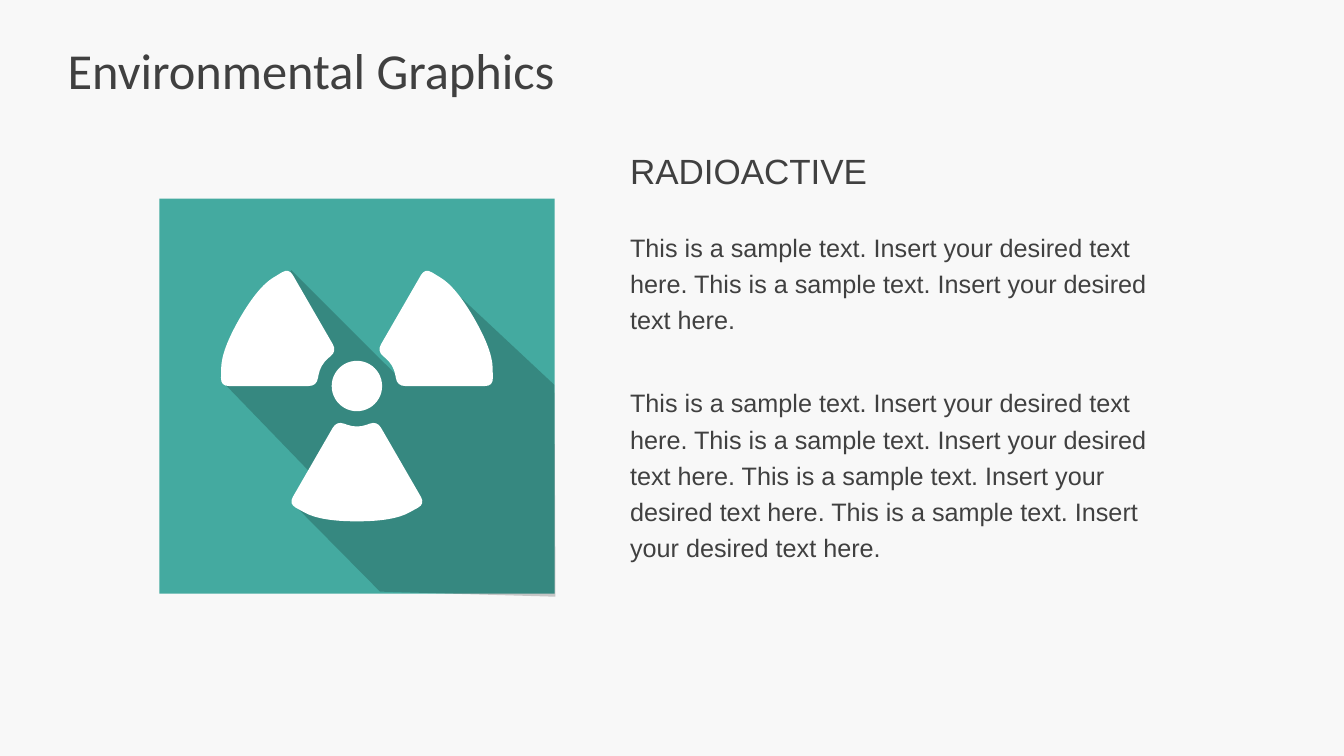
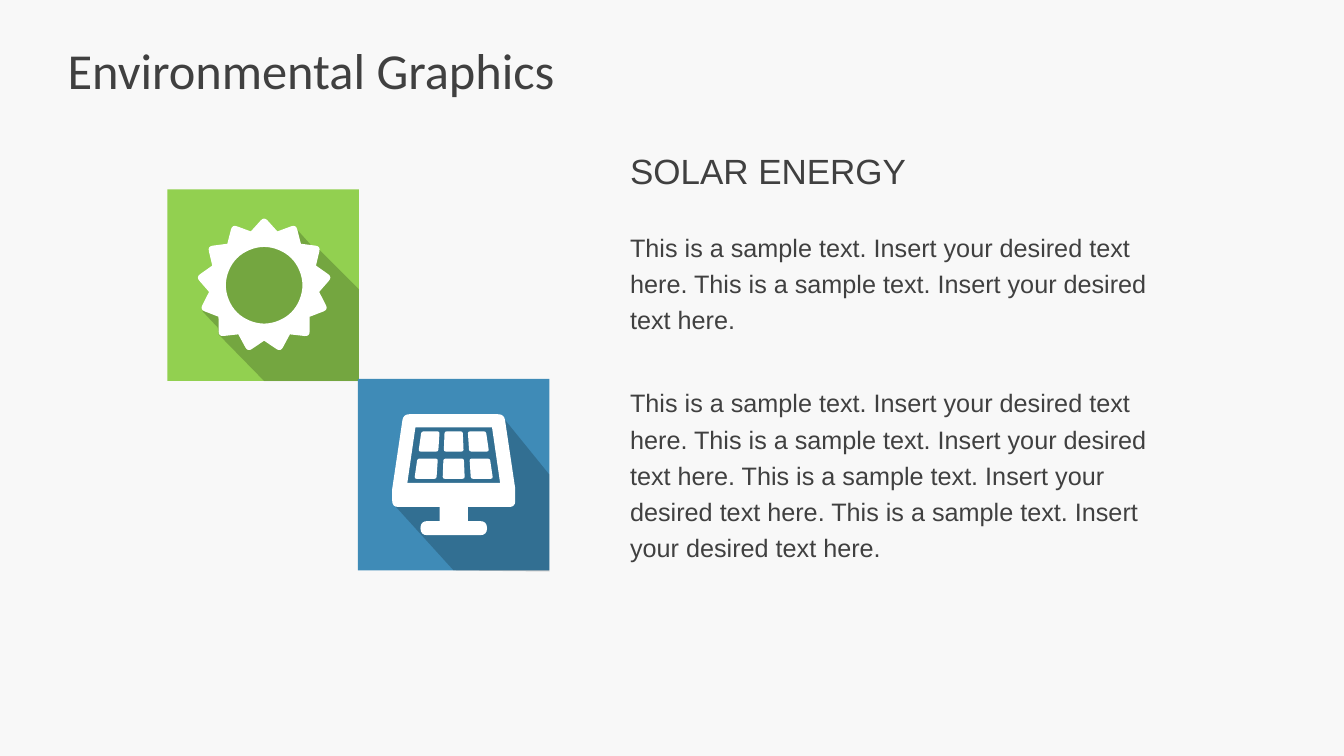
from itertools import product
from math import cos, dist, radians, sin

from lxml.etree import SubElement
from pptx import Presentation
from pptx.dml.color import RGBColor
from pptx.enum.shapes import MSO_SHAPE
from pptx.enum.text import MSO_ANCHOR
from pptx.oxml.ns import qn
from pptx.util import Inches, Pt

PAPER, INK, WHITE, BLACK = "F8F8F8", "404040", "FFFFFF", "000000"
TEAL, GREEN, BLUE = "44AAA0", "92D050", "3F8BB7"
SAMPLE = "This is a sample text. Insert your desired text here."


def paint(fill, color):
    fill.solid()
    fill.fore_color.rgb = RGBColor.from_string(color)


def finish(shape, color):
    paint(shape.fill, color)
    shape.line.fill.background()
    shape.shadow.inherit = False


def write(slide, box, lines, size, font="Arial", gap=0, lead=1.0, anchor=MSO_ANCHOR.TOP):
    """Each line is a paragraph; gap is the space between paragraphs."""
    frame = slide.shapes.add_textbox(*map(Inches, box)).text_frame
    frame.word_wrap = True
    frame.vertical_anchor = anchor
    frame.margin_left = frame.margin_right = 0
    frame.margin_top = frame.margin_bottom = Inches(0.07)
    for i, line in enumerate(lines):
        para = frame.add_paragraph() if i else frame.paragraphs[0]
        para.line_spacing = lead
        para.space_before = Pt(gap if i else 0)
        run = para.add_run()
        run.text = line
        run.font.size, run.font.name = Pt(size), font
        run.font.color.rgb = RGBColor.from_string(INK)


def place(slide, kind, left, top, width, height, color):
    shape = slide.shapes.add_shape(kind, *map(Inches, (left, top, width, height)))
    finish(shape, color)


def polar(mid, r, angle):
    a = radians(angle)
    return mid[0] + r * cos(a), mid[1] + r * sin(a)


def soften(ring):
    """Turn corners (x, y, cut) into knots (point, bend); a bend starts cut away."""
    knots = []
    for i, (x, y, cut) in enumerate(ring):
        if not cut:
            knots.append(((x, y), None))
            continue
        ends = []
        for nx, ny, _ in (ring[i - 1], ring[(i + 1) % len(ring)]):
            part = min(cut / dist((x, y), (nx, ny)), 0.5)
            ends.append((x + (nx - x) * part, y + (ny - y) * part))
        if not knots or dist(knots[-1][0], ends[0]) > 0.001:
            knots.append((ends[0], None))
        knots.append((ends[1], (x, y)))
    return knots


def draw(slide, box, color, *rings):
    """Fill the rings, given in inches from the corner of the box."""
    def spot(point):
        return Inches(box[0] + point[0]), Inches(box[1] + point[1])

    build, bends = None, []
    for ring in rings:
        first, *rest = soften(ring)
        if build is None:
            build = slide.shapes.build_freeform(*spot(first[0]), scale=1.0)
        else:
            build.move_to(*spot(first[0]))
        build.add_line_segments([spot(point) for point, _ in rest], close=True)
        bends += [bend for _, bend in rest]
    shape = build.convert_to_shape()
    finish(shape, color)
    # Bend the softened corners
    for step, bend in zip(list(shape._element.iter(qn("a:lnTo"))), bends):
        if bend:
            x, y = spot(bend)
            step.tag = qn("a:quadBezTo")
            knob = step.makeelement(qn("a:pt"), {"x": str(x - shape.left), "y": str(y - shape.top)})
            step.insert(0, knob)
    return shape


def tile(slide, box, color, shade):
    """Square with a long see-through shadow."""
    left, top, side = box
    place(slide, MSO_SHAPE.RECTANGLE, left, top, side, side, color)
    shape = draw(slide, box, BLACK, [(x, y, 0) for x, y in shade])
    tint = shape.fill._xPr.find(".//" + qn("a:srgbClr"))
    SubElement(tint, qn("a:alpha")).set("val", "20000")


def hazard(slide, box):
    tile(slide, box, TEAL, [
        (1.33, 3.03), (2.19, 3.9), (3.93, 3.95), (3.92, 1.85), (2.84, 0.84),
        (2.37, 1.77), (1.31, 0.71), (0.63, 1.82), (1.5, 2.72)])
    mid = (1.96, 1.86)
    # Three blades, each corner as radius, angle and cut
    blade = [(1.35, 0, 0.08), (1.39, 15, 1), (1.39, 45, 1), (1.35, 60, 0.08),
             (0.4, 60, 0.08), (0.42, 30, 1), (0.4, 0, 0.08)]
    for start in (60, 180, 300):
        draw(slide, box, WHITE, [(*polar(mid, r, start + a), cut) for r, a, cut in blade])
    # Core
    r = 0.25
    place(slide, MSO_SHAPE.OVAL, box[0] + mid[0] - r, box[1] + mid[1] - r, 2 * r, 2 * r, WHITE)


def sun(slide, box):
    tile(slide, box, GREEN, [
        (0.35, 1.21), (0.5, 1.37), (0.51, 1.44), (0.96, 1.9), (1.9, 1.9), (1.9, 0.99),
        (1.5, 0.59), (1.45, 0.58), (1.28, 0.39), (1.01, 0.48), (0.66, 0.54), (0.54, 0.82)])
    mid, teeth = (0.96, 0.95), 13
    rim = []
    for i in range(2 * teeth):
        r, cut = ((0.68, 0.05), (0.55, 0))[i % 2]
        rim.append((*polar(mid, r, 180 * i / teeth - 90), cut))
    hole = [(*polar(mid, 0.41, -45 * i), 1) for i in range(8)]
    draw(slide, box, WHITE, rim, hole)


def panel(slide, box):
    tile(slide, box, BLUE, [
        (0.36, 1.25), (0.95, 1.9), (1.9, 1.91), (1.9, 0.95), (1.43, 0.37),
        (1.27, 0.4), (0.51, 0.43), (0.48, 0.77)])
    axis = 0.95

    def mirror(half):
        right = [(axis + x, y, cut) for x, y, cut in half]
        return right + [(axis - x, y, cut) for x, y, cut in reversed(half)]

    # Frame, stand and foot, with an open window
    body = [(0.5, 0.35, 0.06), (0.61, 1.09, 0), (0.61, 1.27, 0.06), (0.14, 1.27, 0),
            (0.14, 1.41, 0), (0.33, 1.41, 0.07), (0.33, 1.55, 0.07)]
    window = [(0.38, 0.48, 0), (0.46, 1.03, 0)]
    draw(slide, box, WHITE, mirror(body), mirror(window)[::-1])
    # Cells widen toward the bottom
    for top, col in product((0.52, 0.79), (-1, 0, 1)):
        west, east, base = 0.23 * col - 0.09, 0.23 * col + 0.09, top + 0.2
        cell = [(west, top), (east, top), (east, base), (west, base)]
        draw(slide, box, WHITE, [
            (axis + x * (1 + 0.46 * (y - 0.52)), y, 0.02) for x, y in cell])


def page(deck, head, *icons):
    slide = deck.slides.add_slide(deck.slide_layouts[6])
    paint(slide.background.fill, PAPER)
    write(slide, (0.67, 0.3, 12, 0.78), ["Environmental Graphics"], 36, "Calibri",
          anchor=MSO_ANCHOR.MIDDLE)
    write(slide, (6.25, 1.41, 5.54, 0.67), [head], 25)
    write(slide, (6.25, 2.17, 5.54, 4.25), [" ".join([SAMPLE] * n) for n in (2, 4)], 18,
          gap=33.5, lead=1.2)
    for icon, box in icons:
        icon(slide, box)


deck = Presentation()
deck.slide_width, deck.slide_height = Inches(13.33), Inches(7.5)
page(deck, "RADIOACTIVE", (hazard, (1.58, 1.97, 3.92)))
page(deck, "SOLAR ENERGY", (sun, (1.66, 1.88, 1.9)), (panel, (3.55, 3.76, 1.9)))
deck.save("out.pptx")
